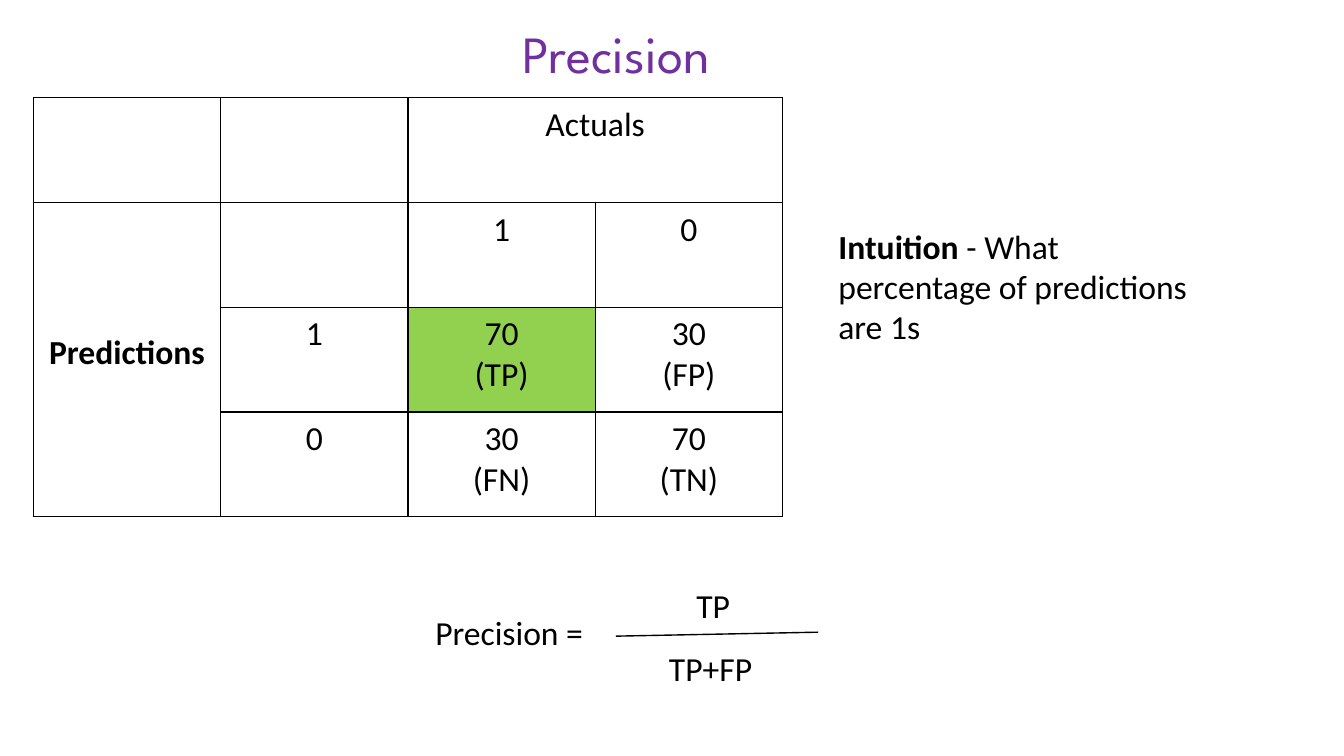
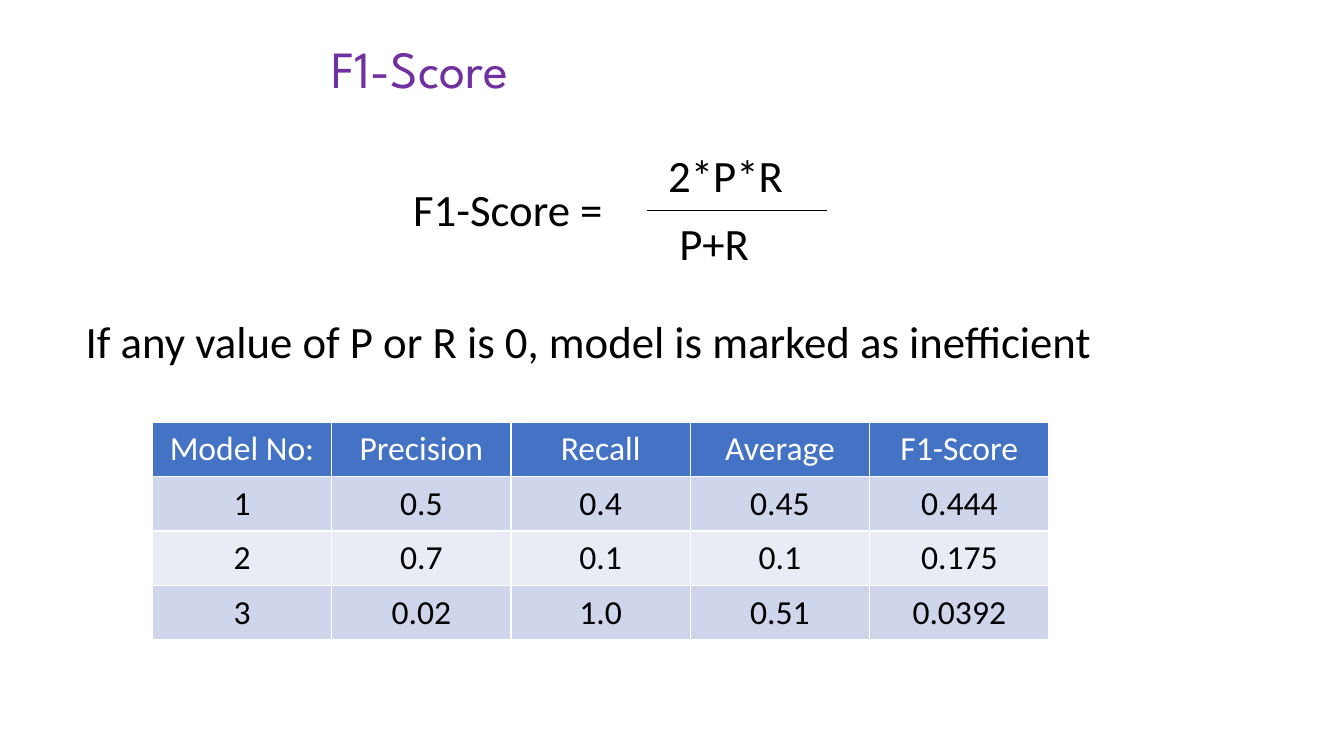
import pptx
import pptx.dml.color
import pptx.enum.shapes
import pptx.enum.text
import pptx.oxml.ns
import pptx.util
from lxml import etree

Cm, Pt = pptx.util.Cm, pptx.util.Pt
RGBColor = pptx.dml.color.RGBColor
ALIGN = pptx.enum.text.PP_ALIGN
ANCHOR = pptx.enum.text.MSO_ANCHOR

BLACK = RGBColor(0x00, 0x00, 0x00)
WHITE = RGBColor(0xFF, 0xFF, 0xFF)
PURPLE = RGBColor(0x70, 0x30, 0xA0)
GREEN = RGBColor(0x92, 0xD0, 0x50)
BLUE = RGBColor(0x44, 0x72, 0xC4)
BAND_COLORS = (RGBColor(0xCF, 0xD5, 0xEA), RGBColor(0xE9, 0xEB, 0xF5))

BODY_FONT, TITLE_FONT = "Calibri", "League Spartan"
BODY_SIZE, LARGE_SIZE, TITLE_SIZE = 24, 32, 37.3
WIDE_INSETS = (0.34, 0.17)

CONFUSION_MATRIX = [
    ["", "", "Actuals", ""],
    ["Predictions", "", "1", "0"],
    ["", "1", "70\n(TP)", "30\n(FP)"],
    ["", "0", "30\n(FN)", "70\n(TN)"],
]
MODEL_SCORES = [
    ["Model No:", "Precision", "Recall", "Average", "F1-Score"],
    ["1", "0.5", "0.4", "0.45", "0.444"],
    ["2", "0.7", "0.1", "0.1", "0.175"],
    ["3", "0.02", "1.0", "0.51", "0.0392"],
]
INTUITION = [("Intuition", True), (" - What percentage of predictions are 1s", False)]

# Text with its left, top, width and height in centimetres
PRECISION_FORMULA = [
    ("Precision =", (10.72, 15.29, 9.91, 1.27)),
    ("TP", (17.3, 14.61, 1.37, 1.27)),
    ("TP+FP", (16.61, 16.21, 2.64, 1.27)),
]
F1_FORMULA = [
    ("F1-Score =", (10.16, 4.45, 9.91, 1.63)),
    ("2*P*R", (16.59, 3.61, 3.43, 1.63)),
    ("P+R", (16.87, 5.31, 2.29, 1.63)),
]


def write_text(frame, text, *, size=BODY_SIZE, font=BODY_FONT, color=BLACK,
               align=ALIGN.LEFT, line_spacing=None):
    """Write a string, or a list of (text, bold) spans; newlines start paragraphs."""
    lines = [[(line, False)] for line in text.split("\n")] if isinstance(text, str) else [text]
    for number, spans in enumerate(lines):
        para = frame.add_paragraph() if number else frame.paragraphs[0]
        para.alignment = align
        if line_spacing:
            para.line_spacing = line_spacing
        for content, bold in spans:
            span = para.add_run()
            span.text = content
            span.font.size = Pt(size)
            span.font.name = font
            span.font.bold = bold
            span.font.color.rgb = color


def set_insets(holder, horizontal, vertical):
    holder.margin_left = holder.margin_right = Cm(horizontal)
    holder.margin_top = holder.margin_bottom = Cm(vertical)


def add_text(page, text, place, *, anchor=ANCHOR.TOP, wrap=True, insets=None, **text_format):
    frame = page.shapes.add_textbox(*map(Cm, place)).text_frame
    frame.word_wrap = wrap
    frame.vertical_anchor = anchor
    if insets:
        set_insets(frame, *insets)
    write_text(frame, text, **text_format)


def add_title(page, text, place, **text_format):
    add_text(page, text, place, anchor=ANCHOR.MIDDLE, size=TITLE_SIZE,
             font=TITLE_FONT, color=PURPLE, **text_format)


def add_formula(page, parts, bar, size):
    for number, (text, place) in enumerate(parts):
        add_text(page, text, place, size=size, wrap=number == 0)
    line = page.shapes.add_connector(pptx.enum.shapes.MSO_CONNECTOR.STRAIGHT, *map(Cm, bar))
    line.line.color.rgb = BLACK
    line.line.width = Pt(1)
    etree.SubElement(line._element.spPr, pptx.oxml.ns.qn("a:effectLst"))


def set_borders(cell, color):
    properties = cell._tc.get_or_add_tcPr()
    for position, side in enumerate("LRTB"):
        border = etree.Element(pptx.oxml.ns.qn(f"a:ln{side}"), w=str(Pt(1)))
        fill = etree.SubElement(border, pptx.oxml.ns.qn("a:solidFill"))
        etree.SubElement(fill, pptx.oxml.ns.qn("a:srgbClr"), val=str(color))
        properties.insert(position, border)


def add_grid(page, rows, left, top, column_width, row_height, border, fill_of, color_of):
    """Draw a table; fill_of and color_of give a cell's colours from row and column."""
    row_count, column_count = len(rows), len(rows[0])
    table = page.shapes.add_table(
        row_count, column_count, Cm(left), Cm(top),
        Cm(column_width * column_count), Cm(row_height * row_count)).table
    table.horz_banding = False
    for column in table.columns:
        column.width = Cm(column_width)
    for row in table.rows:
        row.height = Cm(row_height)
    for r, values in enumerate(rows):
        for c, value in enumerate(values):
            cell = table.cell(r, c)
            set_insets(cell, *WIDE_INSETS)
            cell.fill.solid()
            cell.fill.fore_color.rgb = fill_of(r, c)
            set_borders(cell, border)
            if value:
                spans = [(value, True)] if value == "Predictions" else value
                write_text(cell.text_frame, spans, color=color_of(r), align=ALIGN.CENTER)
    return table


def build_precision(page):
    table = add_grid(page, CONFUSION_MATRIX, 0.84, 2.46, 4.72, 2.64, BLACK,
                     lambda r, c: GREEN if (r, c) == (2, 2) else WHITE,
                     lambda r: BLACK)
    table.cell(0, 2).merge(table.cell(0, 3))
    predictions = table.cell(1, 0)
    predictions.merge(table.cell(3, 0))
    predictions.vertical_anchor = ANCHOR.MIDDLE
    predictions.margin_bottom = Cm(0.5)
    add_title(page, "Precision", (9.04, 0.48, 12.98, 1.7),
              align=ALIGN.CENTER, insets=WIDE_INSETS)
    add_text(page, INTUITION, (20.88, 5.56, 9.6, 3.33))
    add_formula(page, PRECISION_FORMULA, (15.52, 16.03, 20.62, 15.93), BODY_SIZE)


def build_f1_score(page):
    add_title(page, "F1-Score", (8.1, 0.79, 17.63, 2.03), line_spacing=0.9)
    add_grid(page, MODEL_SCORES, 3.84, 10.64, 4.52, 1.37, WHITE,
             lambda r, c: BAND_COLORS[(r - 1) % 2] if r else BLUE,
             lambda r: BLACK if r else WHITE)
    add_formula(page, F1_FORMULA, (16.31, 5.31, 20.85, 5.31), LARGE_SIZE)
    add_text(page, "If any value of P or R is 0, model is marked as inefficient",
             (1.91, 7.77, 28.78, 1.63), size=LARGE_SIZE)


def main():
    deck = pptx.Presentation()
    deck.slide_width, deck.slide_height = Cm(33.87), Cm(19.05)
    for build in (build_precision, build_f1_score):
        build(deck.slides.add_slide(deck.slide_layouts[6]))
    deck.save("out.pptx")


if __name__ == "__main__":
    main()
